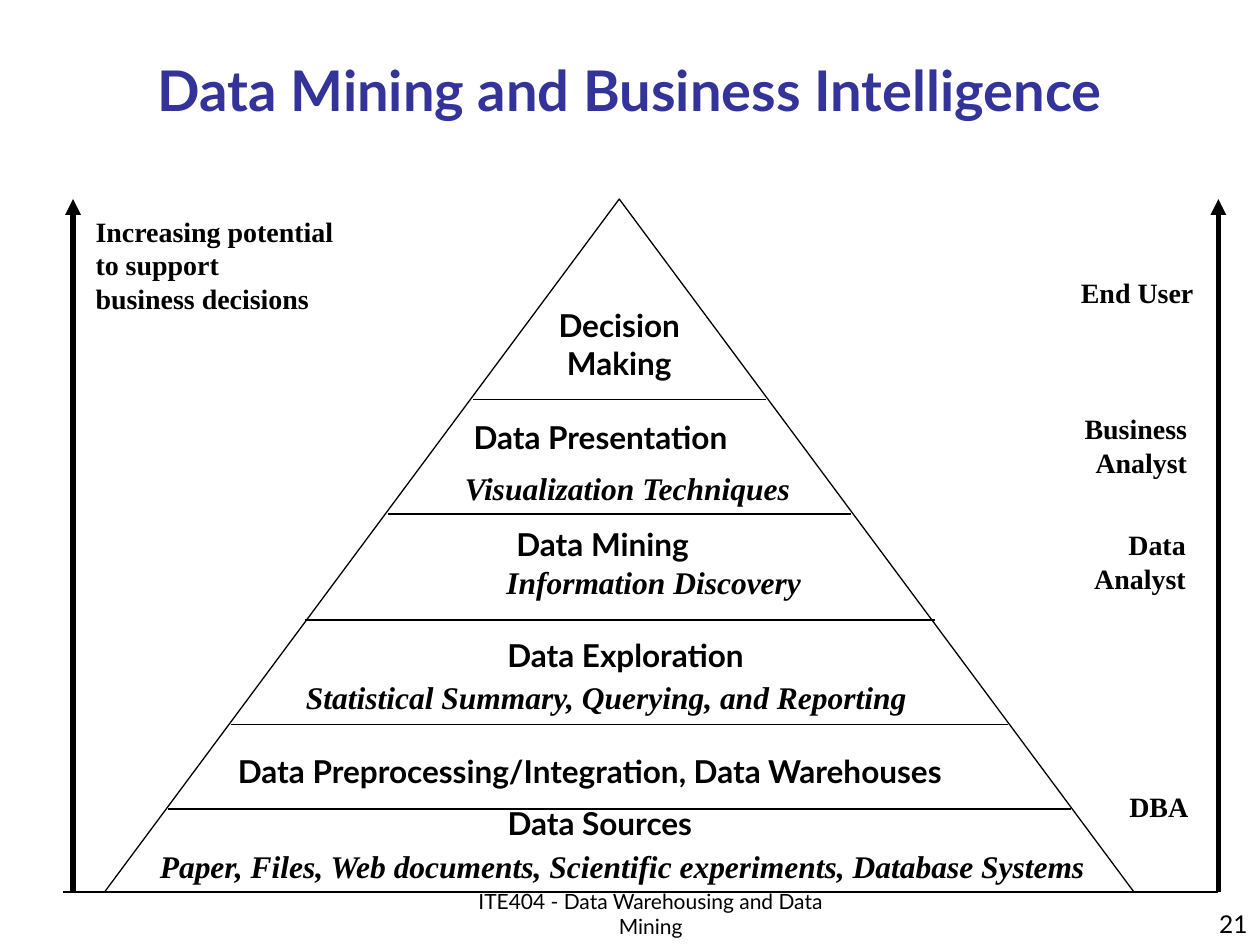
from dataclasses import dataclass

from lxml.etree import SubElement
from pptx import Presentation
from pptx.dml.color import RGBColor
from pptx.enum.shapes import MSO_CONNECTOR as Connector, MSO_SHAPE as Shape
from pptx.enum.text import MSO_ANCHOR as Anchor, MSO_AUTO_SIZE as AutoSize, PP_ALIGN as Align
from pptx.oxml.ns import qn
from pptx.util import Inches, Pt


@dataclass(frozen=True)
class Theme:
    """Colours, fonts and sizes of the slide."""
    ink: RGBColor = RGBColor(0x00, 0x00, 0x00)
    accent: RGBColor = RGBColor(0x33, 0x33, 0x99)
    sans: str = "Lato"
    serif: str = "Times New Roman"
    title: int = 32
    level: int = 18
    label: int = 16
    number: int = 14
    footer: int = 12
    thin: float = 0.75
    thick: float = 3


THEME = Theme()
TOP, BASE = 1.58, 7.08
DIVIDERS = [(1.33, 8.5, 6.42), (1.83, 8, 5.75), (2.42, 7.42, 4.92), (3.08, 6.75, 4.08), (3.75, 6.08, 3.17)]
ARROWS = [0.58, 9.67]
ROLES = [
    ("End User", (8.48, 2.14, 1.09, 0.37)),
    ("Business\nAnalyst", (8.48, 3.22, 1.04, 0.64)),
    ("Data\nAnalyst", (8.58, 4.14, 0.93, 0.64)),
    ("DBA", (8.86, 6.22, 0.67, 0.37)),
]
LEVELS = [
    ("Decision Making", (4.25, 2.38, 1.33, 0.7), Align.CENTER, True),
    ("Data Presentation", (3.66, 3.27, 2.48, 0.4), Align.LEFT, False),
    ("Data Mining", (4, 4.12, 1.95, 0.4), Align.LEFT, True),
    ("Data Exploration", (3.68, 5, 2.57, 0.4), Align.CENTER, True),
    ("Data Preprocessing/Integration, Data Warehouses", (1.79, 5.92, 6.5, 0.4), Align.LEFT, False),
    ("Data Sources", (3.93, 6.33, 1.83, 0.4), Align.LEFT, False),
]
DETAILS = [
    ("Visualization Techniques", (3.59, 3.67, 2.82, 0.4), False),
    ("Information Discovery", (3.92, 4.42, 2.54, 0.4), False),
    ("Statistical Summary, Querying, and Reporting", (2.33, 5.33, 5, 0.4), True),
    ("Paper, Files, Web documents, Scientific experiments, Database Systems", (1.17, 6.67, 7.79, 0.4), True),
]


def add_text(page, text, place, size, family, align=Align.LEFT, anchor=Anchor.TOP,
             color=THEME.ink, bold=True, italic=False, wrap=True, grow=False):
    """Add a text box with one format for all of its lines."""
    box = page.shapes.add_textbox(*map(Inches, place))
    frame = box.text_frame
    frame.text = text
    frame.word_wrap = wrap
    frame.auto_size = AutoSize.SHAPE_TO_FIT_TEXT if grow else AutoSize.NONE
    frame.vertical_anchor = anchor
    for para in frame.paragraphs:
        para.alignment = align
        for span in para.runs:
            font = span.font
            font.size, font.name = Pt(size), family
            font.bold, font.italic = bold, italic
            font.color.rgb = color


def add_line(page, start, end, width=THEME.thin, arrow=False):
    """Add a straight line, with an arrowhead at its end if asked."""
    line = page.shapes.add_connector(Connector.STRAIGHT, *map(Inches, (*start, *end)))
    line.line.color.rgb = THEME.ink
    line.line.width = Pt(width)
    if arrow:
        SubElement(line.line._get_or_add_ln(), qn("a:tailEnd"), type="triangle")
    SubElement(line._element.spPr, qn("a:effectLst"))


def add_pyramid(page):
    """Add the pyramid outline and the lines between its levels."""
    pyramid = page.shapes.add_shape(Shape.FLOWCHART_EXTRACT, *map(Inches, (0.83, TOP, 8.17, BASE - TOP)))
    pyramid.shadow.inherit = False
    pyramid.fill.background()
    pyramid.line.color.rgb = THEME.ink
    pyramid.line.width = Pt(THEME.thin)
    for left, right, height in DIVIDERS:
        add_line(page, (left, height), (right, height))


def main():
    """Build and save the slide."""
    deck = Presentation()
    deck.slide_width, deck.slide_height = Inches(10), Inches(7.5)
    page = deck.slides.add_slide(deck.slide_layouts[6])

    add_text(page, "ITE404 - Data Warehousing and Data Mining", (3.58, 7.08, 3.17, 0.42),
             THEME.footer, THEME.sans, Align.CENTER, Anchor.BOTTOM, bold=False)
    add_text(page, "21", (7.92, 7, 2.08, 0.5), THEME.number, THEME.sans,
             Align.RIGHT, Anchor.BOTTOM, bold=False)
    add_text(page, "Data Mining and Business Intelligence", (0.25, 0.42, 9.5, 0.58),
             THEME.title, THEME.sans, Align.CENTER, Anchor.MIDDLE, THEME.accent)

    add_pyramid(page)
    for x in ARROWS:
        add_line(page, (x, BASE), (x, TOP), THEME.thick, arrow=True)
    add_line(page, (0.5, BASE), (9.67, BASE))

    add_text(page, "Increasing potential\nto support\nbusiness decisions", (0.66, 1.65, 2.09, 0.9),
             THEME.label, THEME.serif, wrap=False, grow=True)
    for text, place in ROLES:
        add_text(page, text, place, THEME.label, THEME.serif, Align.RIGHT, wrap=False, grow=True)
    for text, place, align, wrap in LEVELS:
        add_text(page, text, place, THEME.level, THEME.sans, align, wrap=wrap, grow=True)
    for text, place, wrap in DETAILS:
        add_text(page, text, place, THEME.level, THEME.serif, italic=True, wrap=wrap, grow=True)

    deck.save("out.pptx")


if __name__ == "__main__":
    main()
